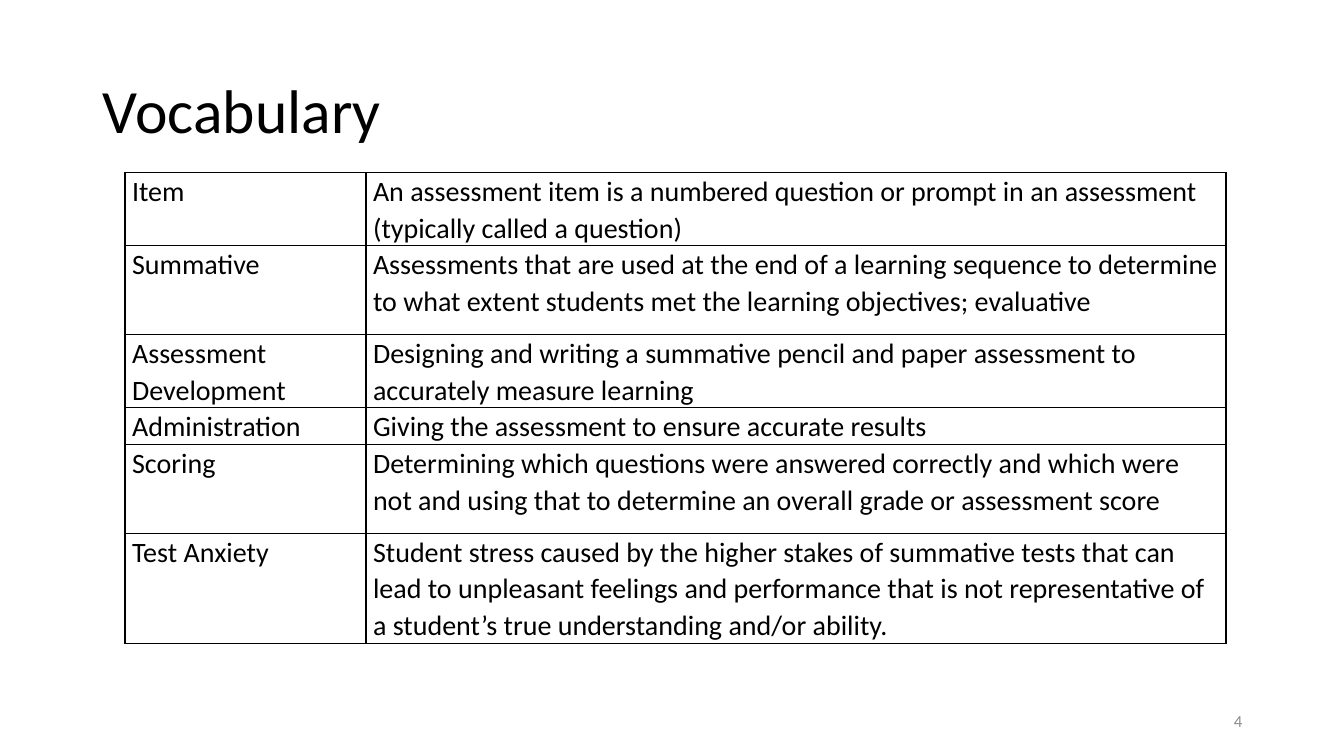
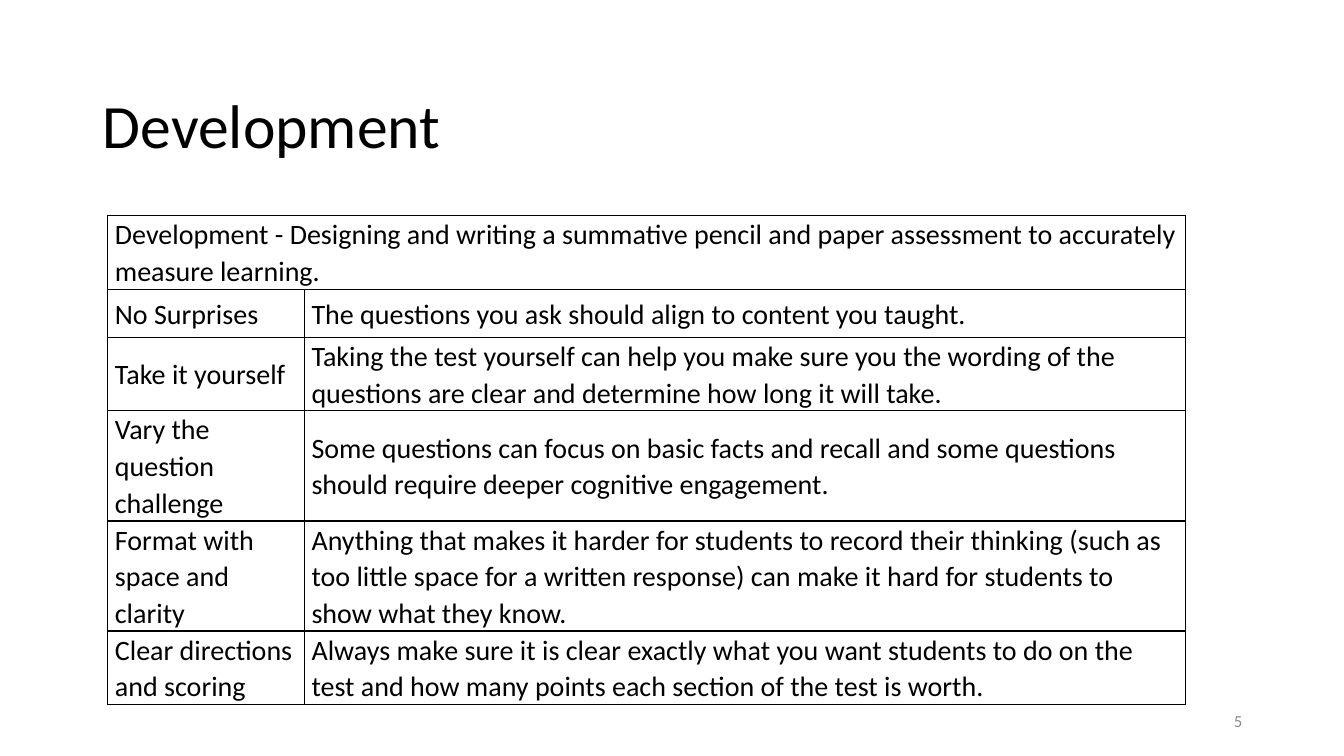
from dataclasses import dataclass

import pptx
import pptx.dml.color
import pptx.enum.text
import pptx.oxml
import pptx.oxml.ns
import pptx.util
from pptx.util import Inches

ANCHOR = pptx.enum.text.MSO_ANCHOR
ALIGN = pptx.enum.text.PP_ALIGN


@dataclass(frozen=True)
class Theme:
    font: str = "Calibri"
    ink: str = "000000"
    muted: str = "8C8C8C"
    title_size: int = 44
    table_size: int = 20
    number_size: int = 12
    border_width: float = 1


THEME = Theme()
TITLE_ONLY = 5

SLIDES = [
    dict(
        title="Vocabulary", title_top=0.4, number="4",
        table_at=(1.24, 1.71), anchor=ANCHOR.TOP, columns=(2.39, 8.53),
        heights=(0.58, 0.88, 0.58, 0.28, 0.88, 0.88),
        rows=[
            ("Item", "An assessment item is a numbered question or prompt in an "
                     "assessment (typically called a question)"),
            ("Summative", "Assessments that are used at the end of a learning sequence "
                          "to determine to what extent students met the learning "
                          "objectives; evaluative"),
            ("Assessment Development", "Designing and writing a summative pencil and "
                                       "paper assessment to accurately measure learning"),
            ("Administration", "Giving the assessment to ensure accurate results"),
            ("Scoring", "Determining which questions were answered correctly and which "
                        "were not and using that to determine an overall grade or "
                        "assessment score"),
            ("Test Anxiety", "Student stress caused by the higher stakes of summative "
                             "tests that can lead to unpleasant feelings and performance "
                             "that is not representative of a student’s true "
                             "understanding and/or ability."),
        ],
    ),
    dict(
        title="Development", title_top=0.55, number="5",
        table_at=(1.07, 2.14), anchor=ANCHOR.MIDDLE, columns=(1.95, 8.74),
        heights=(0.53, 0.48, 0.53, 0.8, 0.8, 0.53),
        rows=[
            ("Development - Designing and writing a summative pencil and paper "
             "assessment to accurately measure learning.",),
            ("No Surprises", "The questions you ask should align to content you taught."),
            ("Take it yourself", "Taking the test yourself can help you make sure you the "
                                 "wording of the questions are clear and determine how "
                                 "long it will take."),
            ("Vary the question challenge", "Some questions can focus on basic facts and "
                                            "recall and some questions should require "
                                            "deeper cognitive engagement."),
            ("Format with space and clarity", "Anything that makes it harder for students "
                                              "to record their thinking (such as too "
                                              "little space for a written response) can "
                                              "make it hard for students to show what "
                                              "they know."),
            ("Clear directions and scoring", "Always make sure it is clear exactly what "
                                             "you want students to do on the test and how "
                                             "many points each section of the test is "
                                             "worth."),
        ],
    ),
]


def write(frame, text, *, size, color=THEME.ink, align=ALIGN.LEFT, spacing=1.0):
    frame.word_wrap = True
    paragraph = frame.paragraphs[0]
    paragraph.alignment = align
    paragraph.line_spacing = spacing
    run = paragraph.add_run()
    run.text = text
    run.font.name = THEME.font
    run.font.size = pptx.util.Pt(size)
    run.font.color.rgb = pptx.dml.color.RGBColor.from_string(color)


def add_title(slide, text, top):
    title = slide.shapes.title
    title.left, title.top = Inches(0.92), Inches(top)
    title.width, title.height = Inches(11.5), Inches(1.45)
    title.text_frame.auto_size = pptx.enum.text.MSO_AUTO_SIZE.NONE
    title.text_frame.vertical_anchor = ANCHOR.MIDDLE
    write(title.text_frame, text, size=THEME.title_size, spacing=0.9)


def add_number(slide, number):
    box = slide.shapes.add_textbox(Inches(9.42), Inches(6.95), Inches(3), Inches(0.4))
    box.text_frame.vertical_anchor = ANCHOR.MIDDLE
    write(box.text_frame, number, size=THEME.number_size, color=THEME.muted,
          align=ALIGN.RIGHT)


def outline(cell):
    """Clear the cell's fill and rule all four of its sides."""
    properties = cell._tc.get_or_add_tcPr()
    for side in ("lnL", "lnR", "lnT", "lnB"):
        properties.append(pptx.oxml.parse_xml(
            f'<a:{side} {pptx.oxml.ns.nsdecls("a")} w="{pptx.util.Pt(THEME.border_width)}">'
            f'<a:solidFill><a:srgbClr val="{THEME.ink}"/></a:solidFill></a:{side}>'))
    cell.fill.background()


def add_definitions(slide, rows, at, columns, heights, anchor):
    """Add a two-column table; a row with one text spans both columns."""
    left, top = at
    table = slide.shapes.add_table(
        len(rows), len(columns), Inches(left), Inches(top),
        Inches(sum(columns)), Inches(sum(heights))).table
    table.first_row = table.horz_banding = False
    for column, width in zip(table.columns, columns):
        column.width = Inches(width)
    for index, (texts, height) in enumerate(zip(rows, heights)):
        table.rows[index].height = Inches(height)
        for cell in table.rows[index].cells:
            cell.margin_left = cell.margin_right = Inches(0.07)
            cell.margin_top = cell.margin_bottom = 0
            cell.vertical_anchor = anchor
            outline(cell)
        if len(texts) < len(columns):
            table.cell(index, 0).merge(table.cell(index, len(columns) - 1))
        for cell, text in zip(table.rows[index].cells, texts):
            write(cell.text_frame, text, size=THEME.table_size, spacing=1.07)


def main():
    deck = pptx.Presentation()
    deck.slide_width, deck.slide_height = Inches(13.33), Inches(7.5)
    for content in SLIDES:
        slide = deck.slides.add_slide(deck.slide_layouts[TITLE_ONLY])
        add_title(slide, content["title"], content["title_top"])
        add_definitions(slide, content["rows"], content["table_at"], content["columns"],
                        content["heights"], content["anchor"])
        add_number(slide, content["number"])
    deck.save("out.pptx")


if __name__ == "__main__":
    main()
